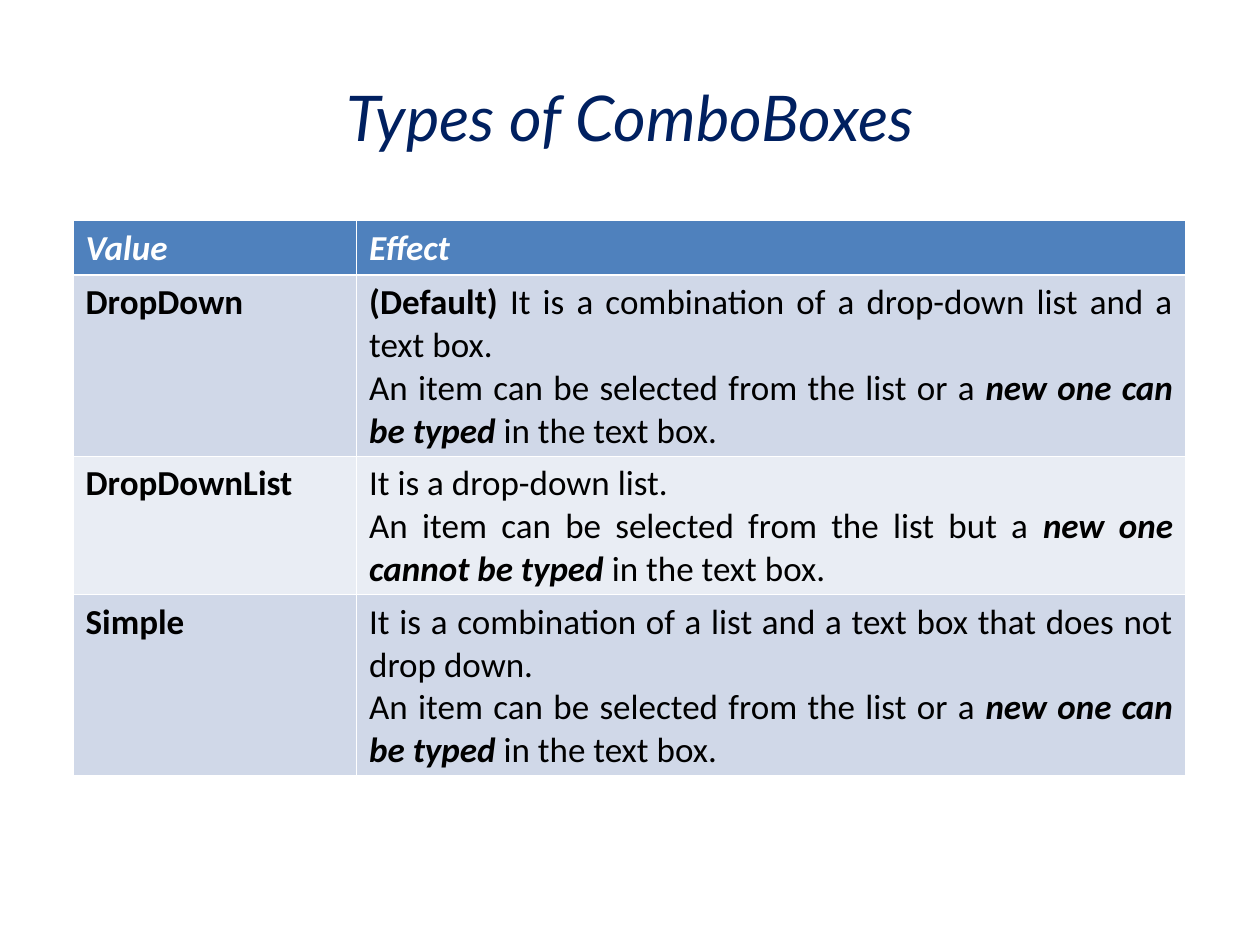
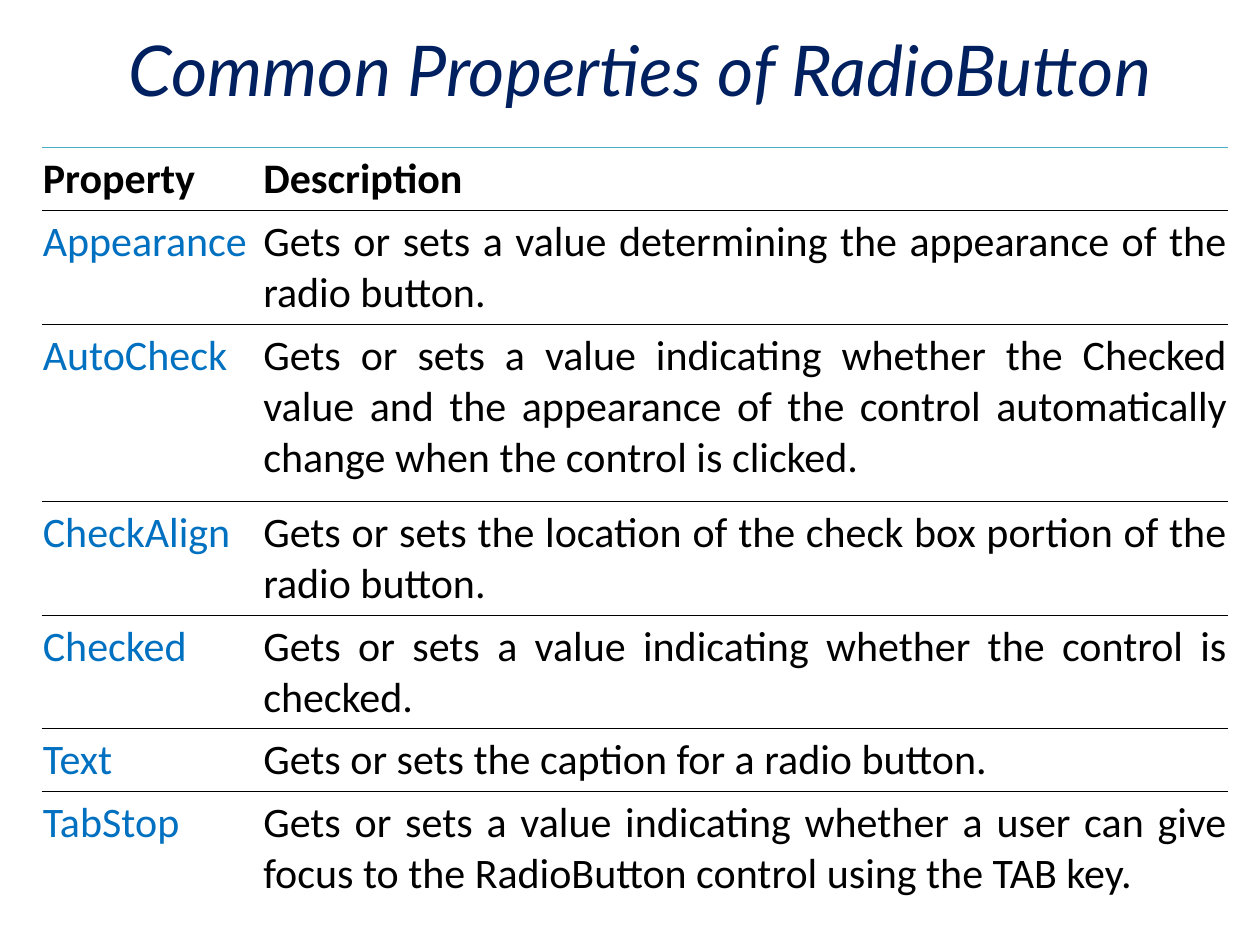
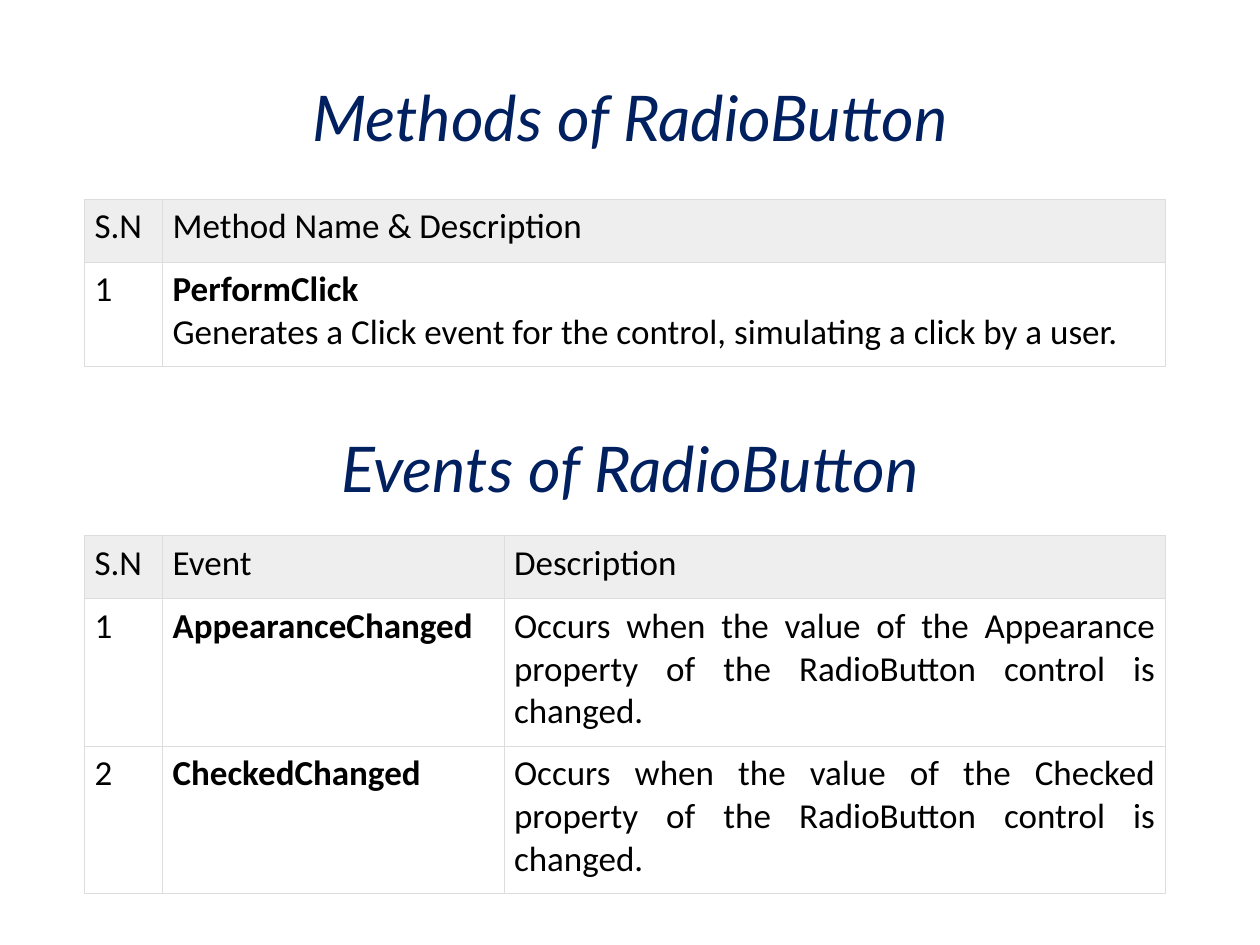
from dataclasses import dataclass

from lxml import etree
from pptx import Presentation
from pptx.dml.color import RGBColor
from pptx.enum import text
from pptx.oxml.ns import qn
from pptx.util import Inches, Pt

COLORS = {
    "title": "002060", "text": "000000", "white": "FFFFFF", "property": "0070C0",
    "header": "4F81BD", "band_dark": "D0D8E8", "band_light": "E9EDF4",
    "top_rule": "4BACC6", "grid": "DDDDDD", "grid_header": "EEEEEE",
}
TITLE_FONT, BODY_FONT = "Lato", "Calibri"
SIDES = ("L", "R", "T", "B")


@dataclass
class Look:
    """Table style; "b" and "i" in a style string mean bold and italic."""
    size: int
    inset: float
    line: tuple
    sides: str = "LRTB"
    header_style: str = ""
    header_color: str = "text"
    header_fill: str = None
    first_color: str = "text"
    bands: tuple = (None,)
    header_top: tuple = None
    header_bottom: tuple = None


BANDED = Look(20, 0.1, ("white", 0.45), header_style="bi", header_color="white",
              header_fill="header", bands=("band_dark", "band_light"),
              header_bottom=("white", 1.47))
RULED = Look(24, 0.01, ("text", 0.45), sides="TB", header_style="b",
             first_color="property", header_top=("top_rule", 0.45))
GRID = Look(20, 0.08, ("grid", 0.34), header_fill="grid_header")


def rgb(name):
    return RGBColor.from_string(COLORS[name])


def format_run(r, font, size, color, style=""):
    r.font.name = font
    r.font.size = Pt(size)
    r.font.color.rgb = rgb(color)
    r.font.bold = "b" in style
    r.font.italic = "i" in style


def add_title(s, title, left, top, width, height, size=36):
    tf = s.shapes.add_textbox(*map(Inches, (left, top, width, height))).text_frame
    tf.word_wrap = True
    tf.vertical_anchor = text.MSO_ANCHOR.MIDDLE
    tf.text = title
    p = tf.paragraphs[0]
    p.alignment = text.PP_ALIGN.CENTER
    format_run(p.runs[0], TITLE_FONT, size, "title", "i")


def set_borders(cell, lines):
    """Draw the (color, points) line of each side; a missing side gets no line."""
    tc_pr = cell._tc.get_or_add_tcPr()
    for i, side in enumerate(SIDES):
        ln = etree.Element(qn(f"a:ln{side}"))
        if side in lines:
            color, points = lines[side]
            ln.set("w", str(Pt(points)))
            fill = etree.SubElement(ln, qn("a:solidFill"))
            etree.SubElement(fill, qn("a:srgbClr"), val=COLORS[color])
        else:
            etree.SubElement(ln, qn("a:noFill"))
        tc_pr.insert(i, ln)


def fill_cell(cell, content, look, color, style, fill):
    """Content is a string or a list of paragraphs, each a list of (text, style)."""
    cell.margin_left = cell.margin_right = Inches(look.inset)
    cell.margin_top = cell.margin_bottom = Inches(0.05)
    if fill:
        cell.fill.solid()
        cell.fill.fore_color.rgb = rgb(fill)
    else:
        cell.fill.background()
    paragraphs = [[(content, style)]] if isinstance(content, str) else content
    tf = cell.text_frame
    for i, parts in enumerate(paragraphs):
        p = tf.add_paragraph() if i else tf.paragraphs[0]
        p.alignment = text.PP_ALIGN.JUSTIFY
        for words, part_style in parts:
            r = p.add_run()
            r.text = words
            format_run(r, BODY_FONT, look.size, color, part_style)


def cell_lines(look, row):
    lines = {side: look.line for side in look.sides}
    if row == 0 and look.header_top:
        lines["T"] = look.header_top
    if row < 2 and look.header_bottom:
        lines["T" if row else "B"] = look.header_bottom
    return lines


def add_table(s, left, top, widths, heights, rows, look, bold_column=None):
    frame = s.shapes.add_table(len(rows), len(widths), *map(
        Inches, (left, top, sum(widths), sum(heights))))
    table = frame.table
    table.first_row = table.horz_banding = False
    for column, width in zip(table.columns, widths):
        column.width = Inches(width)
    for i, (height, row) in enumerate(zip(heights, rows)):
        table.rows[i].height = Inches(height)
        for j, content in enumerate(row):
            if i == 0:
                color, style, fill = look.header_color, look.header_style, look.header_fill
            else:
                color = look.first_color if j == 0 else "text"
                style = "b" if j == bold_column else ""
                fill = look.bands[(i - 1) % len(look.bands)]
            cell = table.cell(i, j)
            fill_cell(cell, content, look, color, style, fill)
            set_borders(cell, cell_lines(look, i))


def selection_rule(link, emphasis):
    return [(f"An item can be selected from the list {link} a ", ""),
            (emphasis, "bi"), (" in the text box.", "")]


def combobox_slide(s):
    add_title(s, "Types of ComboBoxes", 0.5, 0.3, 9, 1.25)
    typed = selection_rule("or", "new one can be typed")
    rows = [
        ("Value", "Effect"),
        ("DropDown", [[("(Default)", "b"),
                       (" It is a combination of a drop-down list and a text box.", "")],
                      typed]),
        ("DropDownList", [[("It is a drop-down list.", "")],
                          selection_rule("but", "new one cannot be typed")]),
        ("Simple", [[("It is a combination of a list and a text box that does not "
                      "drop down.", "")], typed]),
    ]
    add_table(s, 0.58, 1.75, (2.25, 6.58), (0.43, 1.43, 1.1, 1.43), rows, BANDED,
              bold_column=0)


def properties_slide(s):
    add_title(s, "Common Properties of RadioButton", 0.58, 0.08, 9, 0.92, size=40)
    rows = [
        ("Property", "Description"),
        ("Appearance", "Gets or sets a value determining the appearance of the radio button."),
        ("AutoCheck", "Gets or sets a value indicating whether the Checked value and the "
                      "appearance of the control automatically change when the control "
                      "is clicked."),
        ("CheckAlign", "Gets or sets the location of the check box portion of the radio button."),
        ("Checked", "Gets or sets a value indicating whether the control is checked."),
        ("Text", "Gets or sets the caption for a radio button."),
        ("TabStop", "Gets or sets a value indicating whether a user can give focus to the "
                    "RadioButton control using the TAB key."),
    ]
    add_table(s, 0.33, 1.17, (1.75, 7.67), (0.43, 0.82, 1.41, 0.82, 0.82, 0.47, 1.22),
              rows, RULED)


def methods_and_events_slide(s):
    add_title(s, "Methods of RadioButton", 0.5, 0.3, 9, 1.25)
    methods = [
        ("S.N", "Method Name & Description"),
        ("1", [[("PerformClick", "b")],
               [("Generates a Click event for the control, simulating a click by a user.",
                 "")]]),
    ]
    add_table(s, 0.67, 1.58, (0.62, 7.96), (0.5, 0.83), methods, GRID)

    add_title(s, "Events of RadioButton", 0.5, 3.08, 9, 1.25)
    events = [("S.N", "Event", "Description")]
    for number, name in enumerate(("Appearance", "Checked"), 1):
        events.append((str(number), f"{name}Changed",
                       f"Occurs when the value of the {name} property of the "
                       "RadioButton control is changed."))
    add_table(s, 0.67, 4.25, (0.62, 2.71, 5.25), (0.5, 1.17, 1.17), events, GRID,
              bold_column=1)


def main():
    prs = Presentation()
    prs.slide_width, prs.slide_height = Inches(10), Inches(7.5)
    for build in (combobox_slide, properties_slide, methods_and_events_slide):
        build(prs.slides.add_slide(prs.slide_layouts[6]))
    prs.save("out.pptx")


if __name__ == "__main__":
    main()
